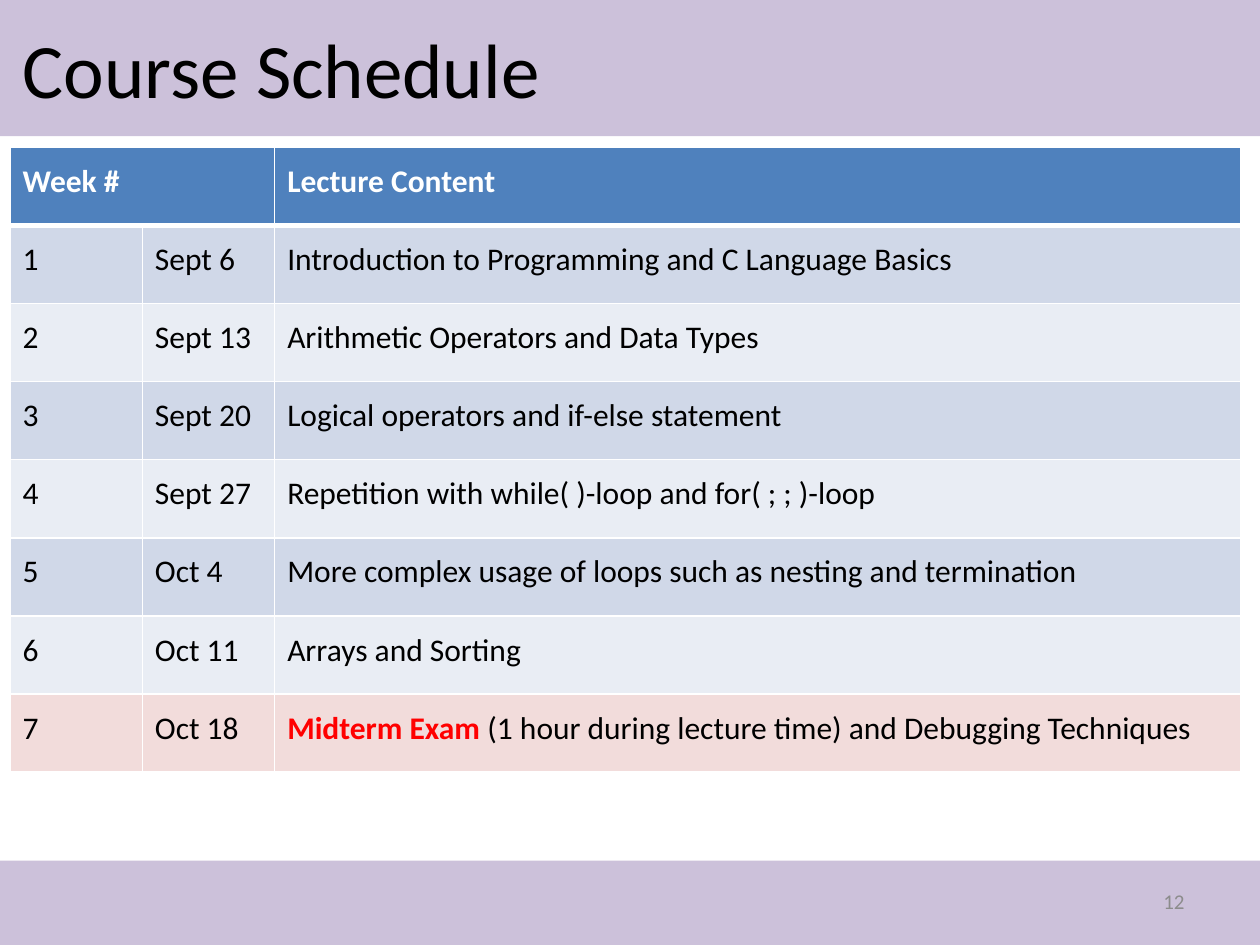
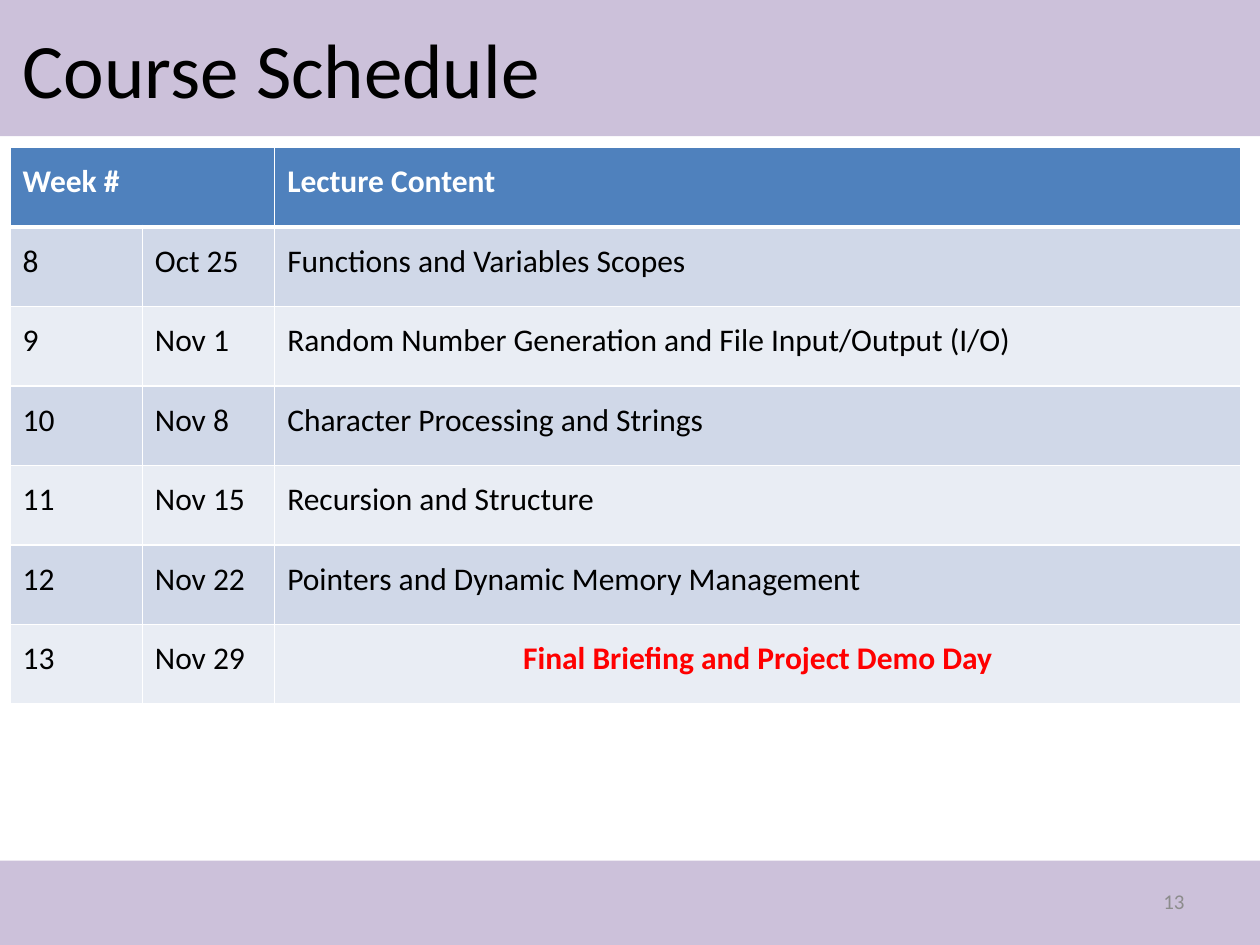
from dataclasses import dataclass

import pptx
import pptx.dml.color
import pptx.enum.shapes
import pptx.enum.text
import pptx.oxml.ns
import pptx.util
from lxml import etree

Inches = pptx.util.Inches
Pt = pptx.util.Pt
RGBColor = pptx.dml.color.RGBColor
PP_ALIGN = pptx.enum.text.PP_ALIGN
MSO_ANCHOR = pptx.enum.text.MSO_ANCHOR

BLACK = RGBColor(0x00, 0x00, 0x00)
WHITE = RGBColor(0xFF, 0xFF, 0xFF)
RED = RGBColor(0xFF, 0x00, 0x00)
GREY = RGBColor(0x8C, 0x8C, 0x8C)
LILAC = RGBColor(0xCC, 0xC1, 0xDA)
HEADER_BLUE = RGBColor(0x4F, 0x81, 0xBD)
ROW_FILLS = (RGBColor(0xD0, 0xD8, 0xE8), RGBColor(0xE9, 0xED, 0xF4))
EXAM_PINK = RGBColor(0xF2, 0xDC, 0xDB)

FONT = "Calibri"
SLIDE_WIDTH, SLIDE_HEIGHT = Inches(10), Inches(7.5)
BANDS = ((Inches(0), Inches(1.08)), (Inches(6.83), Inches(0.67)))
COLUMN_WIDTHS = (Inches(1.05), Inches(1.05), Inches(7.67))
HEADINGS = ("Week #", "", "Lecture Content")
THIN, THICK = Pt(1), Pt(3)


@dataclass(frozen=True)
class Lecture:
    date: str
    topic: str = ""
    highlight: str = ""
    fill: RGBColor | None = None
    align: PP_ALIGN | None = None


@dataclass(frozen=True)
class SchedulePage:
    number: int
    first_week: int
    table_height: float
    lectures: tuple[Lecture, ...]


PAGES = (
    SchedulePage(12, 1, 4.96, (
        Lecture("Sept 6", "Introduction to Programming and C Language Basics"),
        Lecture("Sept 13", "Arithmetic Operators and Data Types"),
        Lecture("Sept 20", "Logical operators and if-else statement"),
        Lecture("Sept 27", "Repetition with while( )-loop and for( ; ; )-loop"),
        Lecture("Oct 4", "More complex usage of loops such as nesting and termination"),
        Lecture("Oct 11", "Arrays and Sorting"),
        Lecture("Oct 18", " (1 hour during lecture time) and Debugging Techniques",
                highlight="Midterm Exam", fill=EXAM_PINK),
    )),
    SchedulePage(13, 8, 4.42, (
        Lecture("Oct 25", "Functions and Variables Scopes"),
        Lecture("Nov 1", "Random Number Generation and File Input/Output (I/O)"),
        Lecture("Nov 8", "Character Processing and Strings"),
        Lecture("Nov 15", "Recursion and Structure"),
        Lecture("Nov 22", "Pointers and Dynamic Memory Management"),
        Lecture("Nov 29", highlight="Final Briefing and Project Demo Day",
                align=PP_ALIGN.CENTER),
    )),
)


def add_run(p, text: str, size: int, color: RGBColor, bold: bool = False) -> None:
    r = p.add_run()
    r.text = text
    r.font.name = FONT
    r.font.size = Pt(size)
    r.font.color.rgb = color
    r.font.bold = bold


def add_bands(s) -> None:
    """Place the top and bottom bands behind the title."""
    for top, height in BANDS:
        band = s.shapes.add_shape(pptx.enum.shapes.MSO_SHAPE.RECTANGLE,
                                  Inches(0), top, SLIDE_WIDTH, height)
        band.shadow.inherit = False
        band.fill.solid()
        band.fill.fore_color.rgb = LILAC
        band.line.fill.background()
        s.shapes.title.element.addprevious(band.element)


def add_title(s, text: str) -> None:
    title = s.shapes.title
    title.left, title.top = Inches(0.08), Inches(0.08)
    title.width, title.height = Inches(9), Inches(0.92)
    title.text_frame.vertical_anchor = MSO_ANCHOR.MIDDLE
    p = title.text_frame.paragraphs[0]
    p.alignment = PP_ALIGN.LEFT
    add_run(p, text, 44, BLACK)


def add_page_number(s, number: int) -> None:
    sp = s.shapes.add_textbox(Inches(7.17), Inches(6.95), Inches(2.33), Inches(0.4))
    tf = sp.text_frame
    tf.word_wrap = True
    tf.vertical_anchor = MSO_ANCHOR.MIDDLE
    p = tf.paragraphs[0]
    p.alignment = PP_ALIGN.RIGHT
    add_run(p, str(number), 12, GREY)


def set_borders(cell, top: int, bottom: int) -> None:
    qn = pptx.oxml.ns.qn
    tc_pr = cell._tc.get_or_add_tcPr()
    for side, width in (("L", THIN), ("R", THIN), ("T", top), ("B", bottom)):
        line = etree.SubElement(tc_pr, qn(f"a:ln{side}"), w=str(width))
        fill = etree.SubElement(line, qn("a:solidFill"))
        etree.SubElement(fill, qn("a:srgbClr"), val=str(WHITE))


def format_cell(cell, row: int, fill: RGBColor) -> None:
    set_borders(cell, THICK if row == 1 else THIN, THICK if row == 0 else THIN)
    cell.fill.solid()
    cell.fill.fore_color.rgb = fill
    cell.margin_left = cell.margin_right = Inches(0.1)
    cell.margin_top = cell.margin_bottom = Inches(0.12)


def add_schedule(s, page: SchedulePage) -> None:
    row_count = len(page.lectures) + 1
    height = Inches(page.table_height)
    table = s.shapes.add_table(row_count, len(COLUMN_WIDTHS), Inches(0.08), Inches(1.17),
                               sum(COLUMN_WIDTHS), height).table
    for column, width in zip(table.columns, COLUMN_WIDTHS):
        column.width = width
    for table_row in table.rows:
        table_row.height = height // row_count

    for col, heading in enumerate(HEADINGS):
        cell = table.cell(0, col)
        format_cell(cell, 0, HEADER_BLUE)
        if heading:
            add_run(cell.text_frame.paragraphs[0], heading, 18, WHITE, bold=True)
    table.cell(0, 0).merge(table.cell(0, 1))

    for row, lecture in enumerate(page.lectures, start=1):
        week, date, content = (table.cell(row, col) for col in range(3))
        for cell in (week, date, content):
            format_cell(cell, row, lecture.fill or ROW_FILLS[(row - 1) % 2])
        add_run(week.text_frame.paragraphs[0], str(page.first_week + row - 1), 18, BLACK)
        add_run(date.text_frame.paragraphs[0], lecture.date, 18, BLACK)
        p = content.text_frame.paragraphs[0]
        p.alignment = lecture.align
        if lecture.highlight:
            add_run(p, lecture.highlight, 18, RED, bold=True)
        if lecture.topic:
            add_run(p, lecture.topic, 18, BLACK)


def main() -> None:
    prs = pptx.Presentation()
    prs.slide_width, prs.slide_height = SLIDE_WIDTH, SLIDE_HEIGHT
    title_only = prs.slide_layouts[5]
    for page in PAGES:
        s = prs.slides.add_slide(title_only)
        add_bands(s)
        add_title(s, "Course Schedule")
        add_schedule(s, page)
        add_page_number(s, page.number)
    prs.save("out.pptx")


if __name__ == "__main__":
    main()
